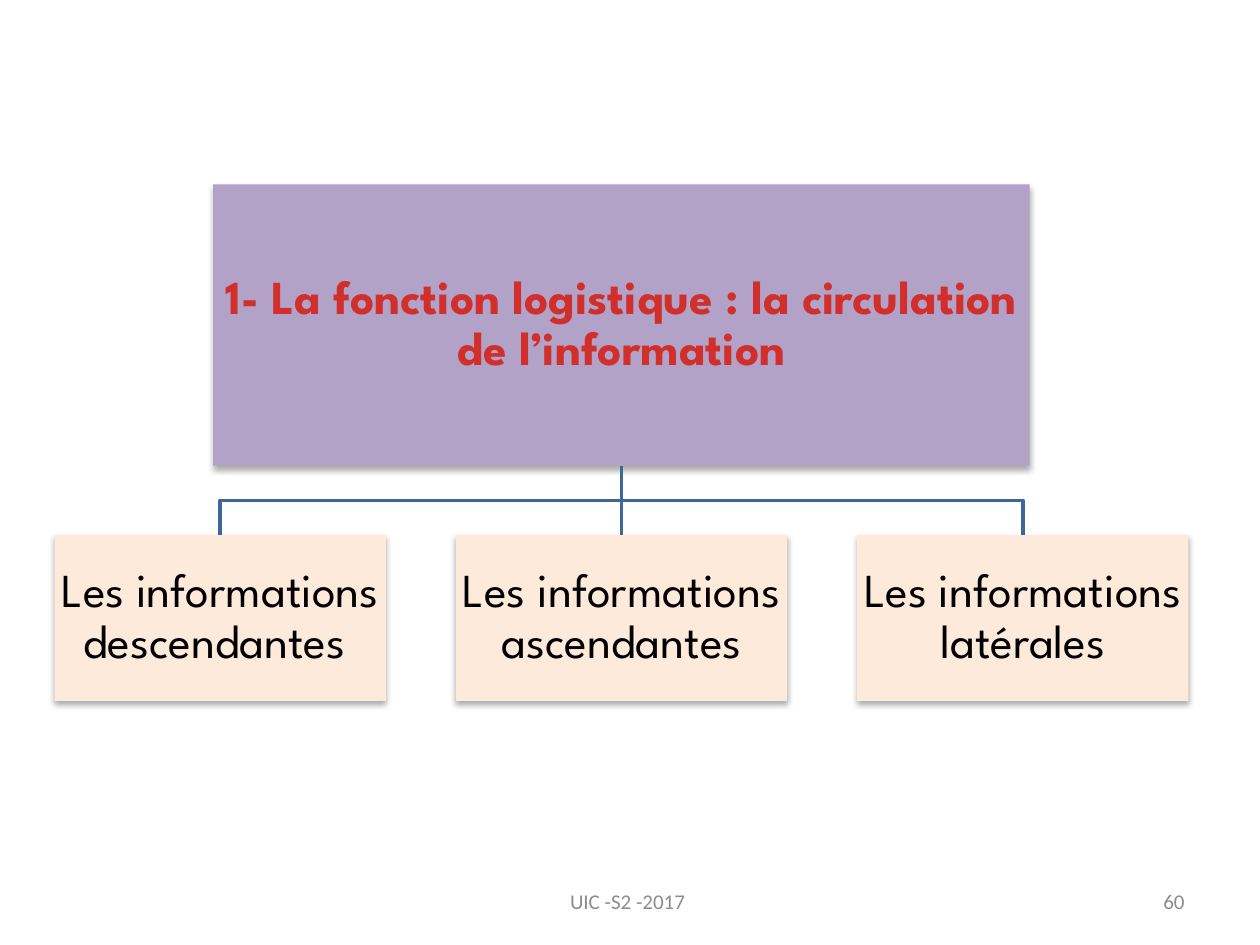
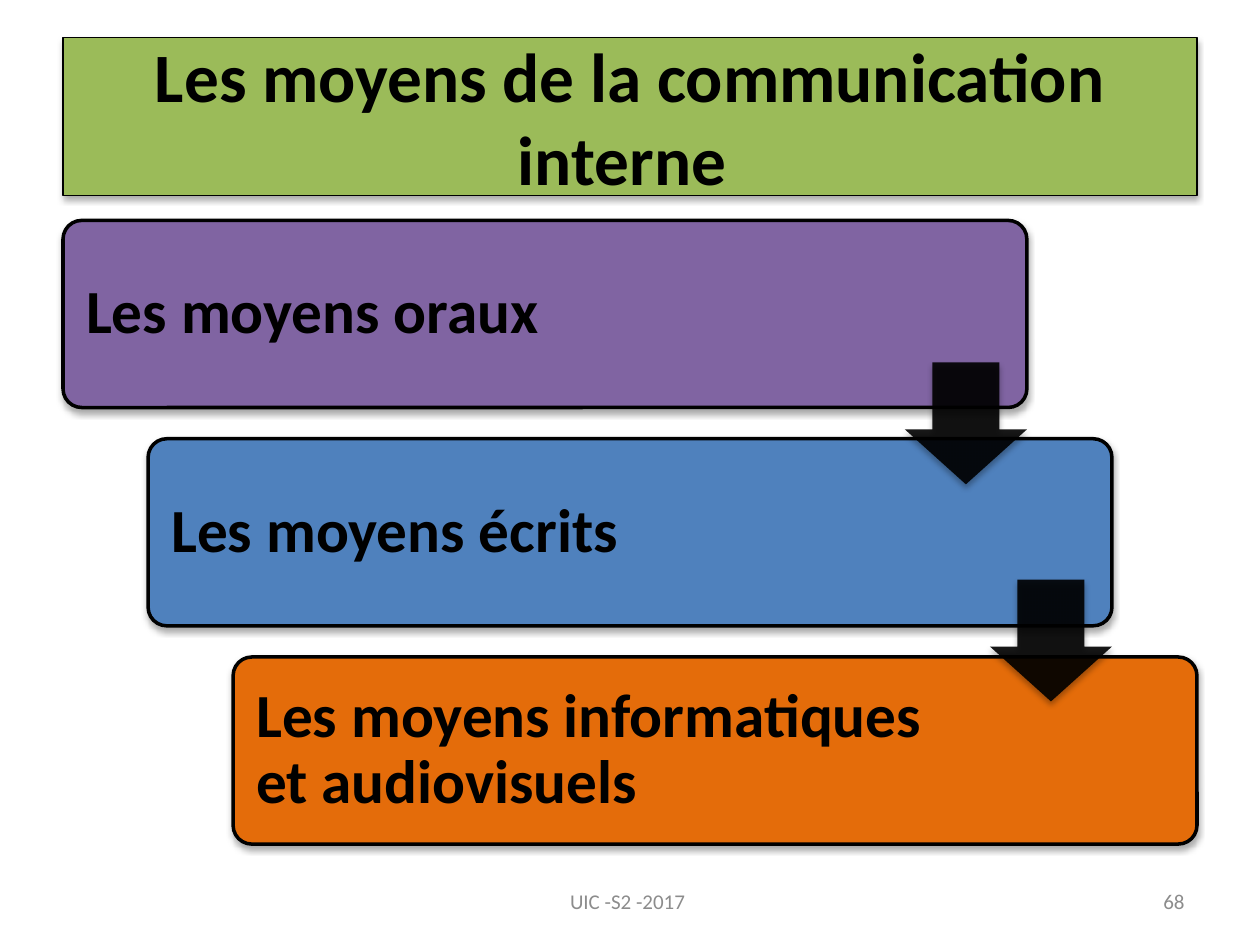
from lxml.etree import SubElement
from pptx import Presentation
from pptx.dml.color import RGBColor
from pptx.enum.shapes import MSO_CONNECTOR, MSO_SHAPE
from pptx.enum.text import MSO_ANCHOR, MSO_AUTO_SIZE, PP_ALIGN
from pptx.oxml import parse_xml
from pptx.oxml.ns import nsdecls, qn
from pptx.util import Inches, Pt

BLACK = RGBColor(0x00, 0x00, 0x00)
GREY = RGBColor(0x8C, 0x8C, 0x8C)
RED = RGBColor(0xD0, 0x2F, 0x2C)
LILAC = RGBColor(0xB3, 0xA2, 0xC7)
PEACH = RGBColor(0xFD, 0xEA, 0xDA)
STEEL = RGBColor(0x3F, 0x67, 0x97)
GREEN = RGBColor(0x9B, 0xBB, 0x59)
PLUM = RGBColor(0x80, 0x64, 0xA2)
BLUE = RGBColor(0x4F, 0x81, 0xBD)
RUST = RGBColor(0xE4, 0x6C, 0x0A)

SHADE = (
    f'<a:effectLst {nsdecls("a")}><a:outerShdw blurRad="{Pt(3.5)}" dist="{Pt(2.2)}" '
    'dir="5400000" rotWithShape="0"><a:srgbClr val="000000"><a:alpha val="32000"/>'
    '</a:srgbClr></a:outerShdw></a:effectLst>'
)

deck = Presentation()
deck.slide_width, deck.slide_height = Inches(10), Inches(7.5)
# All places are in hundredths of the slide's width and height.
COL, ROW = deck.slide_width // 100, deck.slide_height // 100


def form(shape, spot, fill=None, edge=None):
    """Place a shape; with a fill, paint it, outline it and give it a shadow."""
    for name, share, unit in zip(("left", "top", "width", "height"), spot, (COL, ROW) * 2):
        setattr(shape, name, round(share * unit))
    if fill is None:
        return
    shape.fill.solid()
    shape.fill.fore_color.rgb = fill
    if edge:
        shape.line.color.rgb = BLACK
        shape.line.width = Pt(edge)
    else:
        shape.line.fill.background()
    shape._element.spPr.append(parse_xml(SHADE))


def write(shape, text, look):
    """Write one paragraph and set its frame, paragraph and font values."""
    frame = shape.text_frame
    frame.text = text
    frame.word_wrap = True
    frame.auto_size = MSO_AUTO_SIZE.NONE
    frame.vertical_anchor = MSO_ANCHOR.MIDDLE
    line = frame.paragraphs[0]
    font = line.runs[0].font
    font.color.rgb = look["color"]
    for part, key in ((frame, "frame"), (line, "line"), (font, "font")):
        for name, value in look.get(key, {}).items():
            setattr(part, name, value)


SIDES = ("margin_left", "margin_top", "margin_right", "margin_bottom")
TIGHT = dict.fromkeys(SIDES, Inches(0.02))
ROOMY = dict.fromkeys(SIDES, Inches(0.14)) | {"margin_right": Inches(1.8)}
MID = {"alignment": PP_ALIGN.CENTER, "line_spacing": 0.9}

HEAD = {"color": RED, "frame": TIGHT, "line": MID,
        "font": {"name": "League Spartan", "size": Pt(27), "bold": True}}
LEAF = {"color": BLACK, "frame": TIGHT, "line": MID,
        "font": {"name": "League Spartan", "size": Pt(27), "bold": False}}
TITLE = {"color": BLACK, "line": {"alignment": PP_ALIGN.CENTER},
         "font": {"name": "Calibri", "size": Pt(39.6), "bold": True}}
STEP = {"color": BLACK, "frame": ROOMY,
        "line": {"alignment": PP_ALIGN.LEFT, "line_spacing": 0.9},
        "font": {"name": "Calibri", "size": Pt(35), "bold": True}}
SMALL = {"name": "Calibri", "size": Pt(12)}

# Shared base: title and footers
pages = (
    ("1- La fonction logistique : la circulation de l’information", HEAD,
     (16.92, 19.5, 64.8, 29.75), LILAC, None, "60"),
    ("Les moyens de la communication interne ", TITLE,
     (5, 4, 90, 16.67), GREEN, 0.75, "68"),
)
for title, look, spot, fill, edge, page in pages:
    slide = deck.slides.add_slide(deck.slide_layouts[5])
    form(slide.shapes.title, spot, fill, edge)
    write(slide.shapes.title, title, look)
    for text, left, width, align in (
        ("UIC -S2 -2017 ", 34.17, 31.67, PP_ALIGN.CENTER),
        (page, 71.67, 23.33, PP_ALIGN.RIGHT),
    ):
        note = slide.shapes.add_textbox(0, 0, COL, ROW)
        form(note, (left, 92.67, width, 5.33))
        write(note, text, {"color": GREY, "line": {"alignment": align}, "font": SMALL})

tree, steps = deck.slides

# Slide 1: a tree with three leaves
LEFT, PITCH, WIDE = 4.33, 31.85, 26.3
ROOT, BAR, TOP = 49.33, 52.95, 56.63
mids = [round((LEFT + WIDE / 2 + PITCH * i) * COL) for i in range(3)]
root, bar, top = (round(share * ROW) for share in (ROOT, BAR, TOP))
trunk = mids[1]
links = [tree.shapes.add_connector(MSO_CONNECTOR.STRAIGHT, trunk, root, trunk, top)]
for mid in (mids[0], mids[2]):
    route = tree.shapes.build_freeform(trunk, root)
    route.add_line_segments([(trunk, bar), (mid, bar), (mid, top)], close=False)
    elbow = route.convert_to_shape()
    elbow.fill.background()
    links.append(elbow)
for link in links:
    link.line.color.rgb = STEEL
    link.line.width = Pt(2)
    SubElement(link._element.spPr, qn("a:effectLst"))

leaves = ("Les informations descendantes ", "Les informations ascendantes",
          "Les informations latérales")
for i, text in enumerate(leaves):
    leaf = tree.shapes.add_shape(MSO_SHAPE.RECTANGLE, 0, 0, COL, ROW)
    form(leaf, (LEFT + PITCH * i, TOP, WIDE, 17.55), PEACH)
    write(leaf, text, LEAF)

# Slide 2: three steps, each one lower and further right
RIGHT, DOWN = 6.75, 23.1
means = (("Les moyens oraux ", PLUM), ("Les moyens écrits", BLUE),
         ("Les moyens informatiques et audiovisuels", RUST))
for i, (text, fill) in enumerate(means):
    step = steps.shapes.add_shape(MSO_SHAPE.ROUNDED_RECTANGLE, 0, 0, COL, ROW)
    step.adjustments[0] = 0.1
    form(step, (5 + RIGHT * i, 23.33 + DOWN * i, 76.5, 19.8), fill, 2)
    write(step, text, STEP)

for i in range(len(means) - 1):
    arrow = steps.shapes.add_shape(MSO_SHAPE.DOWN_ARROW, 0, 0, COL, ROW)
    arrow.adjustments[0], arrow.adjustments[1] = 0.55, 0.45
    form(arrow, (71.82 + RIGHT * i, 38.35 + 22.98 * i, 9.68, 12.9), BLACK)
    tint = arrow._element.spPr.find(qn("a:solidFill")).find(qn("a:srgbClr"))
    SubElement(tint, qn("a:alpha")).set("val", "90000")

deck.save("out.pptx")
